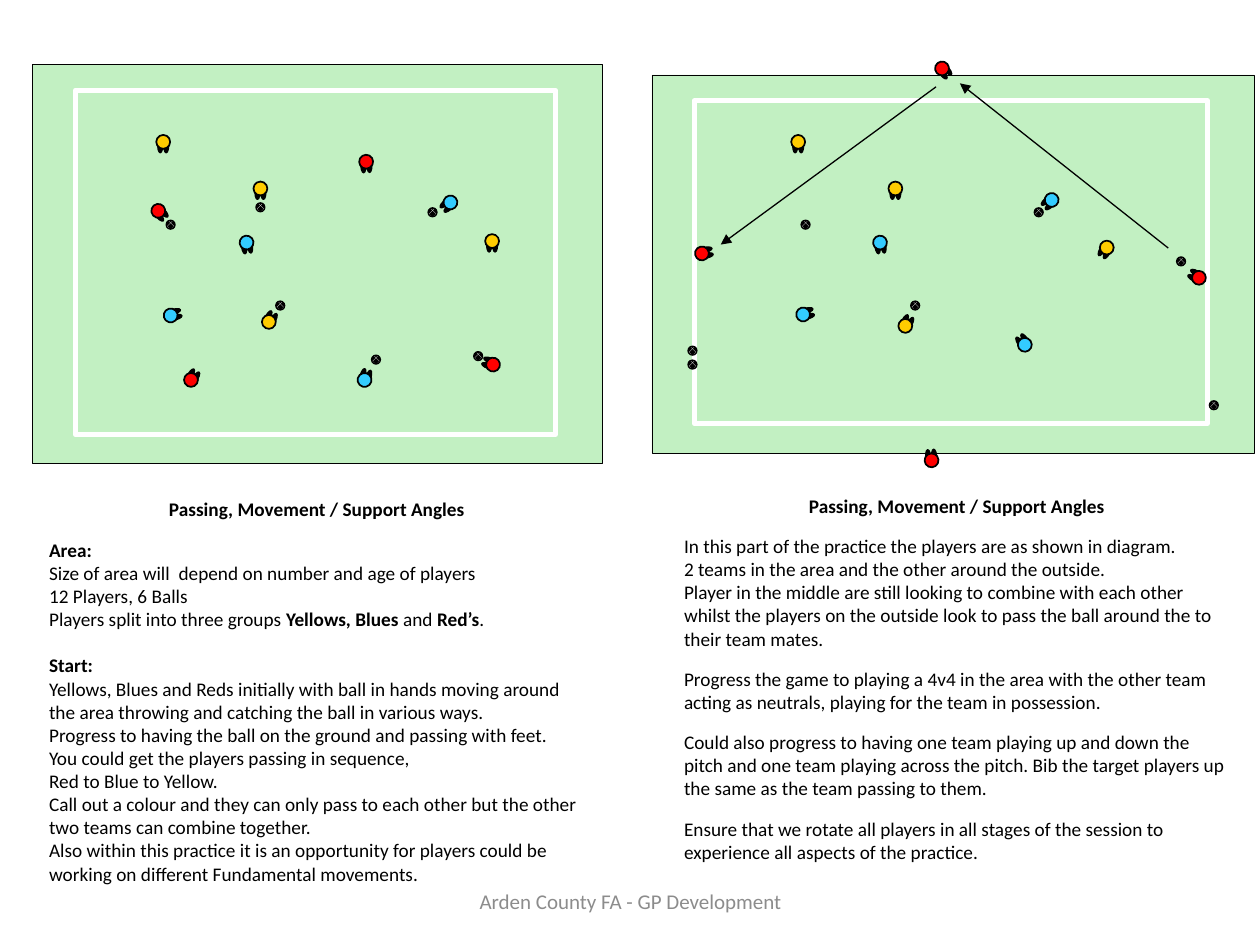
from collections import namedtuple
from dataclasses import dataclass
from math import cos, radians, sin

from lxml import etree
from pptx import Presentation
from pptx.dml.color import RGBColor
from pptx.enum.dml import MSO_PATTERN
from pptx.enum.shapes import MSO_CONNECTOR, MSO_SHAPE
from pptx.enum.text import MSO_ANCHOR, PP_ALIGN
from pptx.oxml.ns import qn
from pptx.util import Cm, Pt

RECTANGLE, OVAL = MSO_SHAPE.RECTANGLE, MSO_SHAPE.OVAL
STRAIGHT = MSO_CONNECTOR.STRAIGHT
DIAMONDS = MSO_PATTERN.SOLID_DIAMOND
CENTER, LEFT = PP_ALIGN.CENTER, PP_ALIGN.LEFT
MIDDLE = MSO_ANCHOR.MIDDLE

Box = namedtuple("Box", "left top width height")  # centimetres


@dataclass(frozen=True)
class Theme:
    grass: RGBColor = RGBColor(0xC2, 0xF0, 0xC2)
    yellow: RGBColor = RGBColor(0xFF, 0xCC, 0x00)
    blue: RGBColor = RGBColor(0x33, 0xCC, 0xFF)
    red: RGBColor = RGBColor(0xFF, 0x00, 0x00)
    black: RGBColor = RGBColor(0, 0, 0)
    white: RGBColor = RGBColor(0xFF, 0xFF, 0xFF)
    footer_grey: RGBColor = RGBColor(0x8C, 0x8C, 0x8C)
    font: str = "Calibri"
    body_size: Pt = Pt(11)
    footer_size: Pt = Pt(12)
    small_gap: Pt = Pt(9.8)
    line_gap: Pt = Pt(13.4)


THEME = Theme()

HEADING = "Passing, Movement / Support Angles"

# Players: x, y of the head within the pitch, and heading in degrees
START_PLAYERS = {
    THEME.yellow: [(9.26, 3.56, 180), (2.63, 1.56, 180), (4.59, 2.5, 180), (4.76, 5.19, 27.4)],
    THEME.blue: [(8.42, 2.78, 228.2), (2.78, 5.06, 75.5), (4.31, 3.59, 172.4), (6.69, 6.36, 16.1)],
    THEME.red: [(9.28, 6.05, 290.5), (2.53, 2.95, 138.4), (3.19, 6.36, 30.6), (6.72, 1.96, 177.2)],
}
START_BALLS = [(4.99, 4.86), (2.78, 3.23), (8.98, 5.88), (8.06, 2.98), (4.59, 2.88), (6.92, 5.95)]

OUTSIDE_PLAYERS = {
    THEME.yellow: [(9.17, 3.48, 209.3), (2.95, 1.35, 180), (4.91, 2.29, 180), (5.11, 5.06, 27.4)],
    THEME.blue: [(8.06, 2.52, 228.2), (3.05, 4.83, 75.5), (4.6, 3.38, 172.4), (7.52, 5.44, 326.7)],
    THEME.red: [(11.03, 4.09, 298.2), (1.01, 3.6, 78.8), (5.64, 7.77, 355), (5.85, -0.13, 139.9)],
}
OUTSIDE_BALLS = [(5.31, 4.65), (3.1, 3.02), (0.82, 5.56), (0.82, 5.84),
                 (7.8, 2.77), (10.67, 3.76), (11.33, 6.66)]
OUTSIDE_PASSES = [((10.41, 3.49), (6.21, 0.17)), ((5.73, 0.24), (1.39, 3.42))]

# Paragraphs: space before, then (text, bold) runs
START_NOTES = [
    (THEME.small_gap, [("Area:", True)]),
    (0, [("Size of area will  depend on number and age of players", False)]),
    (0, [("12 Players, 6 Balls", False)]),
    (0, [("Players split into three groups ", False), ("Yellows, Blues", True),
         (" and ", False), ("Red’s", True), (".", False)]),
    (THEME.line_gap, [("Start:", True)]),
    (0, [("Yellows, Blues and Reds initially with ball in hands moving around the area "
          "throwing and catching the ball in various ways.", False)]),
    (0, [("Progress to having the ball on the ground and passing with feet.", False)]),
    (0, [("You could get the players passing in sequence,", False)]),
    (0, [("Red to Blue to Yellow.", False)]),
    (0, [("Call out a colour and they can only pass to each other but the other two teams "
          "can combine together.", False)]),
    (0, [("Also within this practice it is an opportunity for players could be working on "
          "different Fundamental movements.", False)]),
]
OUTSIDE_NOTES = [
    (THEME.small_gap, [("In this part of the practice the players are as shown in diagram.", False)]),
    (0, [("2 teams in the area and the other around the outside.", False)]),
    (0, [("Player in the middle are still looking to combine with each other whilst the players "
          "on the outside look to pass the ball around the to their team mates.", False)]),
    (THEME.small_gap, [("Progress the game to playing a 4v4 in the area with the other team acting "
                        "as neutrals, playing for the team in possession.", False)]),
    (THEME.small_gap, [("Could also progress to having one team playing up and down the pitch and "
                        "one team playing across the pitch. Bib the target players up the same as "
                        "the team passing to them.", False)]),
    (THEME.small_gap, [("Ensure that we rotate all players in all stages of the session to "
                        "experience all aspects of the practice.", False)]),
]


def add_outlined(slide, preset, box, fill, line, weight, rotation=0):
    """Add a shape; a fill of None leaves it hollow."""
    shape = slide.shapes.add_shape(preset, *map(Cm, box))
    shape.shadow.inherit = False
    shape.rotation = rotation
    if fill is None:
        shape.fill.background()
    else:
        shape.fill.solid()
        shape.fill.fore_color.rgb = fill
    shape.line.color.rgb = line
    shape.line.width = Pt(weight)
    return shape


def around(x, y, width, height):
    return Box(x - width / 2, y - height / 2, width, height)


def add_player(slide, x, y, heading, bib):
    """Two feet pointing along the heading, under a round head."""
    angle = radians(heading)
    for side in (-0.06, 0.06):
        forward = -0.08
        foot_x = x + side * cos(angle) - forward * sin(angle)
        foot_y = y + side * sin(angle) + forward * cos(angle)
        add_outlined(slide, OVAL, around(foot_x, foot_y, 0.1, 0.28),
                     THEME.black, THEME.black, 0.75, heading)
    add_outlined(slide, OVAL, around(x, y, 0.28, 0.28), bib, THEME.black, 1, heading)


def add_ball(slide, x, y):
    ball = add_outlined(slide, OVAL, around(x, y, 0.18, 0.18), None, THEME.black, 0.75)
    ball.fill.patterned()
    ball.fill.pattern = DIAMONDS
    ball.fill.fore_color.rgb = THEME.white
    ball.fill.back_color.rgb = THEME.black


def add_pass(slide, start, end):
    arrow = slide.shapes.add_connector(STRAIGHT, *map(Cm, (*start, *end)))
    arrow.line.color.rgb = THEME.black
    arrow.line.width = Pt(0.75)
    etree.SubElement(arrow.line._get_or_add_ln(), qn("a:tailEnd"), type="triangle")
    etree.SubElement(arrow._element.spPr, qn("a:effectLst"))


def add_pitch(slide, box, players, balls, passes=()):
    def on_pitch(x, y):
        return box.left + x, box.top + y

    add_outlined(slide, RECTANGLE, box, THEME.grass, THEME.black, 0.25)
    touchlines = Box(*on_pitch(0.86, 0.52), box.width - 1.8, box.height - 1.11)
    add_outlined(slide, RECTANGLE, touchlines, None, THEME.white, 3)
    for bib, places in players.items():
        for x, y, heading in places:
            add_player(slide, *on_pitch(x, y), heading, bib)
    for ball in balls:
        add_ball(slide, *on_pitch(*ball))
    for start, end in passes:
        add_pass(slide, on_pitch(*start), on_pitch(*end))


def add_notes(slide, box, notes):
    frame = slide.shapes.add_textbox(*map(Cm, box)).text_frame
    frame.word_wrap = True
    frame.margin_left = frame.margin_right = frame.margin_top = frame.margin_bottom = Cm(0.1)
    for index, (gap, runs) in enumerate([(0, [(HEADING, True)]), *notes]):
        paragraph = frame.add_paragraph() if index else frame.paragraphs[0]
        paragraph.alignment = LEFT if index else CENTER
        if gap:
            paragraph.space_before = gap
        for text, bold in runs:
            run = paragraph.add_run()
            run.text = text
            run.font.bold = bold
        style(paragraph.font, THEME.body_size, THEME.black)


def style(font, size, color):
    font.name, font.size, font.color.rgb = THEME.font, size, color


def add_footer(slide, box):
    frame = slide.shapes.add_textbox(*map(Cm, box)).text_frame
    frame.word_wrap = True
    frame.vertical_anchor = MIDDLE
    credit = frame.paragraphs[0]
    credit.text = "Arden County FA - GP Development"
    credit.alignment = CENTER
    style(credit.font, THEME.footer_size, THEME.footer_grey)


def main():
    deck = Presentation()
    deck.slide_width, deck.slide_height = Cm(25.4), Cm(19.05)
    slide = deck.slides.add_slide(deck.slide_layouts[6])
    add_pitch(slide, Box(0.66, 1.3, 11.48, 8.05), START_PLAYERS, START_BALLS)
    add_pitch(slide, Box(13.14, 1.51, 12.14, 7.62), OUTSIDE_PLAYERS, OUTSIDE_BALLS, OUTSIDE_PASSES)
    add_notes(slide, Box(13.69, 9.86, 11.2, 8.2), OUTSIDE_NOTES)
    add_footer(slide, Box(8.69, 17.65, 8.05, 1.02))
    add_notes(slide, Box(0.89, 9.93, 11, 8.2), START_NOTES)
    deck.save("out.pptx")


if __name__ == "__main__":
    main()
